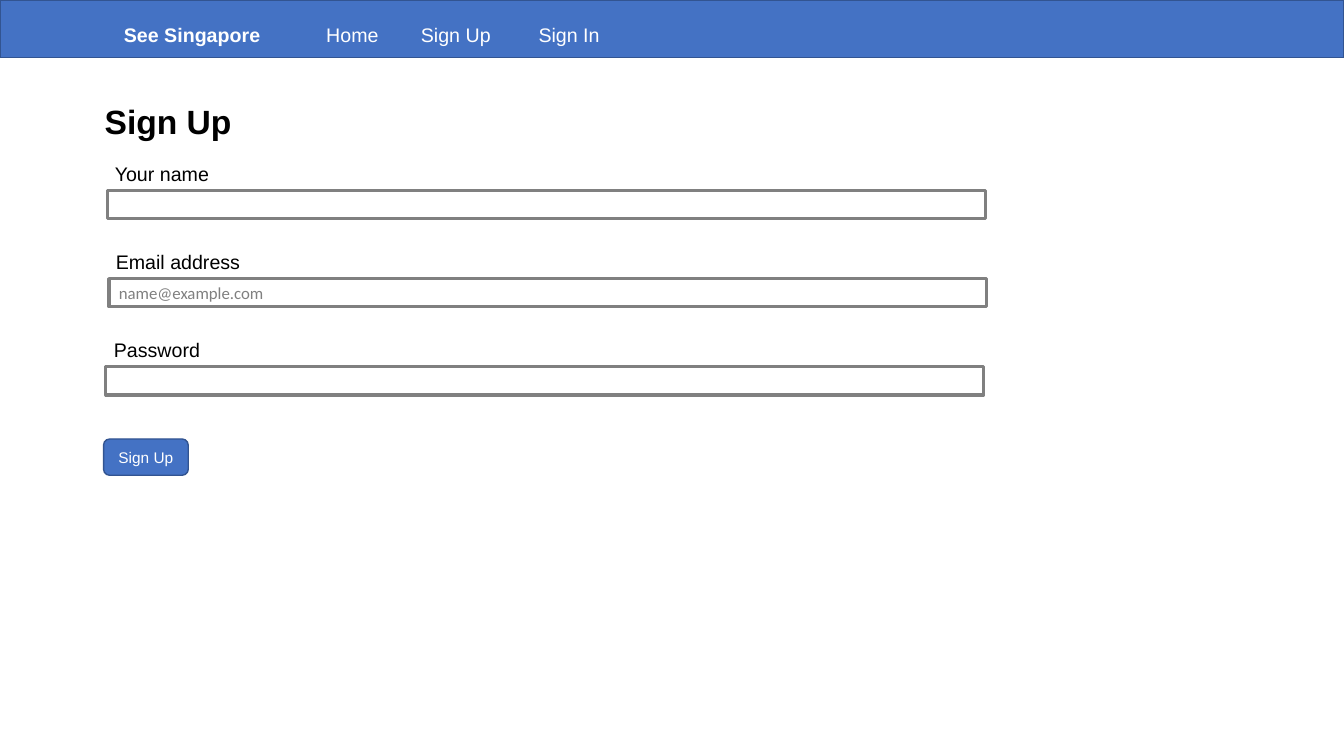
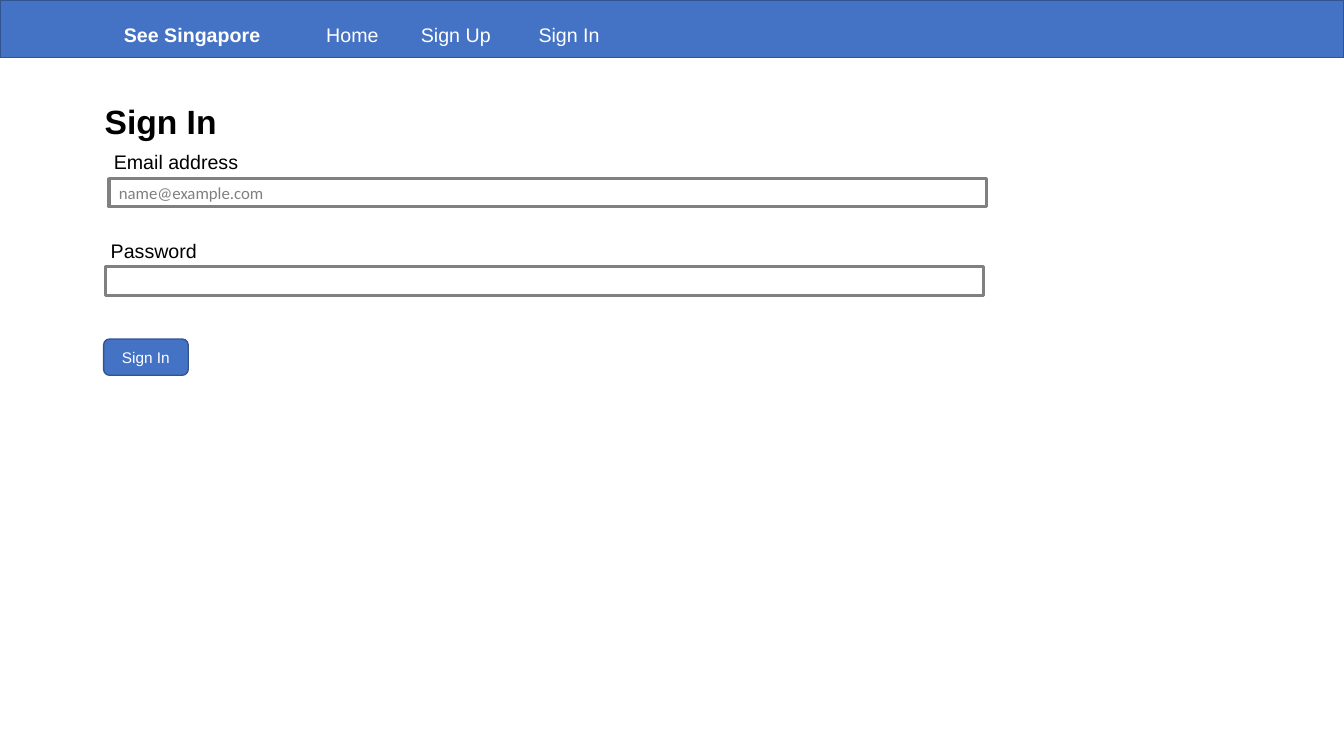
from pptx import Presentation
from pptx.dml.color import RGBColor
from pptx.enum.shapes import MSO_SHAPE
from pptx.enum.text import MSO_ANCHOR, MSO_AUTO_SIZE, PP_ALIGN
from pptx.util import Pt

PAGE_WIDTH, PAGE_HEIGHT = 960, 540
BLUE, NAVY, GRAY, WHITE, BLACK = "4472C4", "325491", "808080", "FFFFFF", "000000"
BAND_HEIGHT = 41
FIELD_WIDTH, FIELD_HEIGHT, FIELD_PITCH = 627, 20.2, 63
LABEL_RISE = 23.8
NAV_LINKS = [("Home", 218.2, 67), ("Sign Up", 285.2, 80.9), ("Sign In", 366.1, 80.9)]
FORMS = [
    ("Sign Up", 136, [
        ("Your name", 77, 74.9, ""),
        ("Email address", 77.8, 75.6, "name@example.com"),
        ("Password", 75.6, 74.2, ""),
    ]),
    ("Sign In", 127.6, [
        ("Email address", 77.8, 74.2, "name@example.com"),
        ("Password", 75.6, 72, ""),
    ]),
]


def color(hex_text):
    """Turn a hex string into a colour."""
    return RGBColor.from_string(hex_text)


def write(frame, text, size, tint, bold=False, align=PP_ALIGN.LEFT, font="Arial"):
    """Write one styled run into a text frame."""
    frame.word_wrap = True
    para = frame.paragraphs[0]
    para.alignment = align
    span = para.add_run()
    span.text = text
    span.font.name = font
    span.font.size = Pt(size)
    span.font.bold = bold
    span.font.color.rgb = color(tint)


def add_text(shapes, box, text, size, tint, **style):
    """Add a text box that grows with its text."""
    frame = shapes.add_textbox(*map(Pt, box)).text_frame
    frame.auto_size = MSO_AUTO_SIZE.SHAPE_TO_FIT_TEXT
    write(frame, text, size, tint, **style)


def add_panel(page, kind, box, fill, line, line_width):
    """Add a flat outlined shape, unfilled when fill is None."""
    panel = page.shapes.add_shape(kind, *map(Pt, box))
    panel.shadow.inherit = False
    if fill:
        panel.fill.solid()
        panel.fill.fore_color.rgb = color(fill)
    else:
        panel.fill.background()
    panel.line.color.rgb = color(line)
    panel.line.width = Pt(line_width)
    panel.text_frame.vertical_anchor = MSO_ANCHOR.MIDDLE
    return panel


def add_navigation(page, box):
    """Add the top band with the site name and its links."""
    left, top, width, height = box
    add_panel(page, MSO_SHAPE.RECTANGLE, box, BLUE, NAVY, 1)
    menu = page.shapes.add_group_shape().shapes
    text_top = top + 13
    add_text(menu, (left + 81.4, text_top, 143.3, 24.2), "See Singapore", 14, WHITE, bold=True)
    for text, offset, link_width in NAV_LINKS:
        link_box = (left + offset, text_top, link_width, 24.2)
        add_text(menu, link_box, text, 14, WHITE, align=PP_ALIGN.CENTER)


def add_field(page, box, label, label_left, hint):
    """Add an input box with its label above and an optional hint inside."""
    label_box = (label_left, box[1] - LABEL_RISE, 231, 24.2)
    field = add_panel(page, MSO_SHAPE.RECTANGLE, box, None, GRAY, 2.25)
    if hint:
        write(field.text_frame, hint, 12, GRAY, font="Calibri")
    add_text(page.shapes, label_box, label, 14, BLACK)


def add_button(page, box, text):
    """Add a rounded button with a centred caption."""
    button = add_panel(page, MSO_SHAPE.ROUNDED_RECTANGLE, box, BLUE, NAVY, 1)
    write(button.text_frame, text, 11, WHITE, align=PP_ALIGN.CENTER)


def add_form_page(deck, title, first_top, fields):
    """Add a slide with navigation, a heading, stacked fields and a button."""
    page = deck.slides.add_slide(deck.slide_layouts[6])
    add_navigation(page, (0, 0, PAGE_WIDTH, BAND_HEIGHT))
    add_text(page.shapes, (67.7, 68.4, 498, 36), title, 24, BLACK, bold=True)
    for row, (label, left, label_left, hint) in enumerate(fields):
        top = first_top + row * FIELD_PITCH
        add_field(page, (left, top, FIELD_WIDTH, FIELD_HEIGHT), label, label_left, hint)
    button_top = first_top + len(fields) * FIELD_PITCH - 11.4
    add_button(page, (74, button_top, 60.5, 25.9), title)


def main():
    """Build and save the deck."""
    deck = Presentation()
    deck.slide_width, deck.slide_height = Pt(PAGE_WIDTH), Pt(PAGE_HEIGHT)
    for form in FORMS:
        add_form_page(deck, *form)
    deck.save("out.pptx")


if __name__ == "__main__":
    main()
